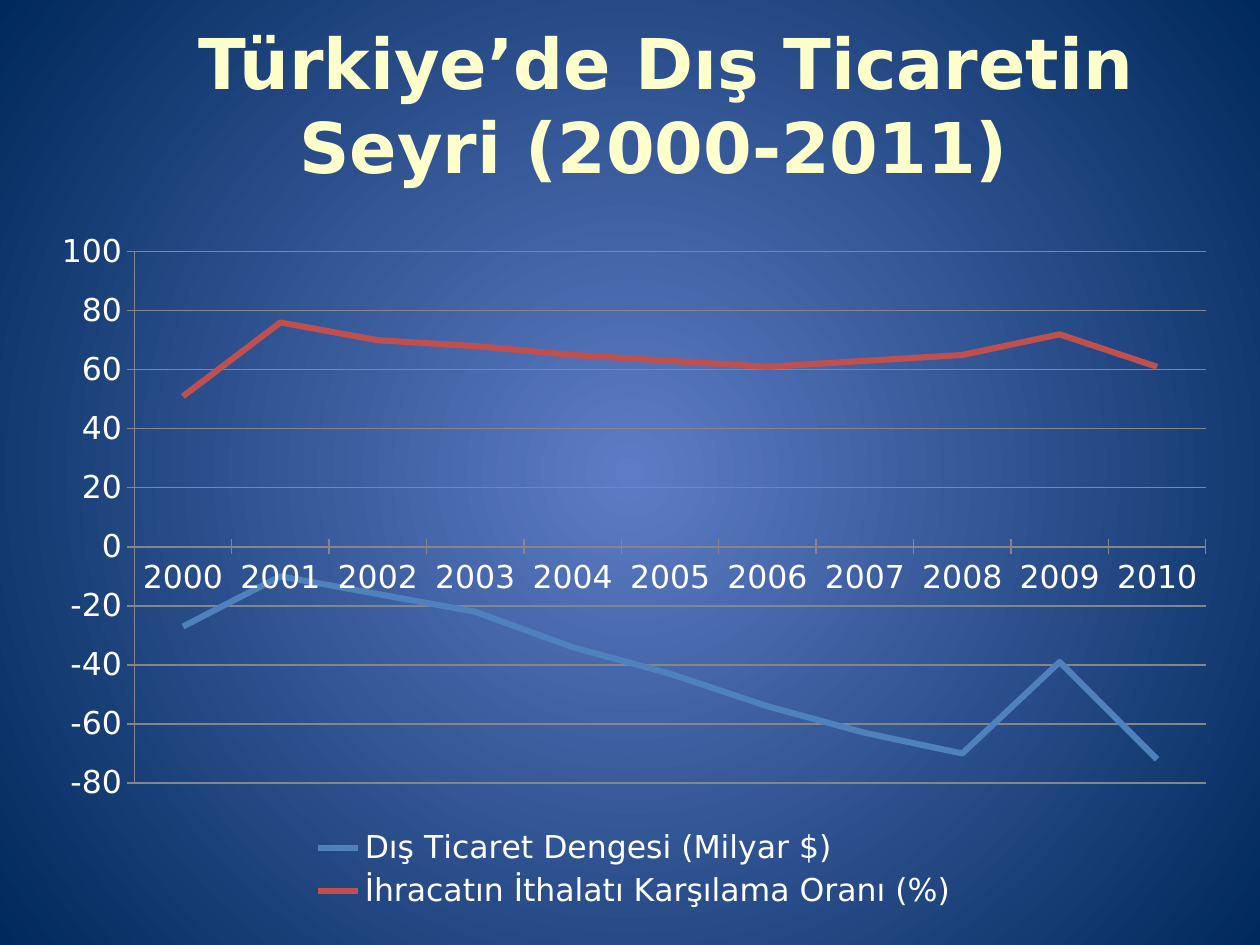
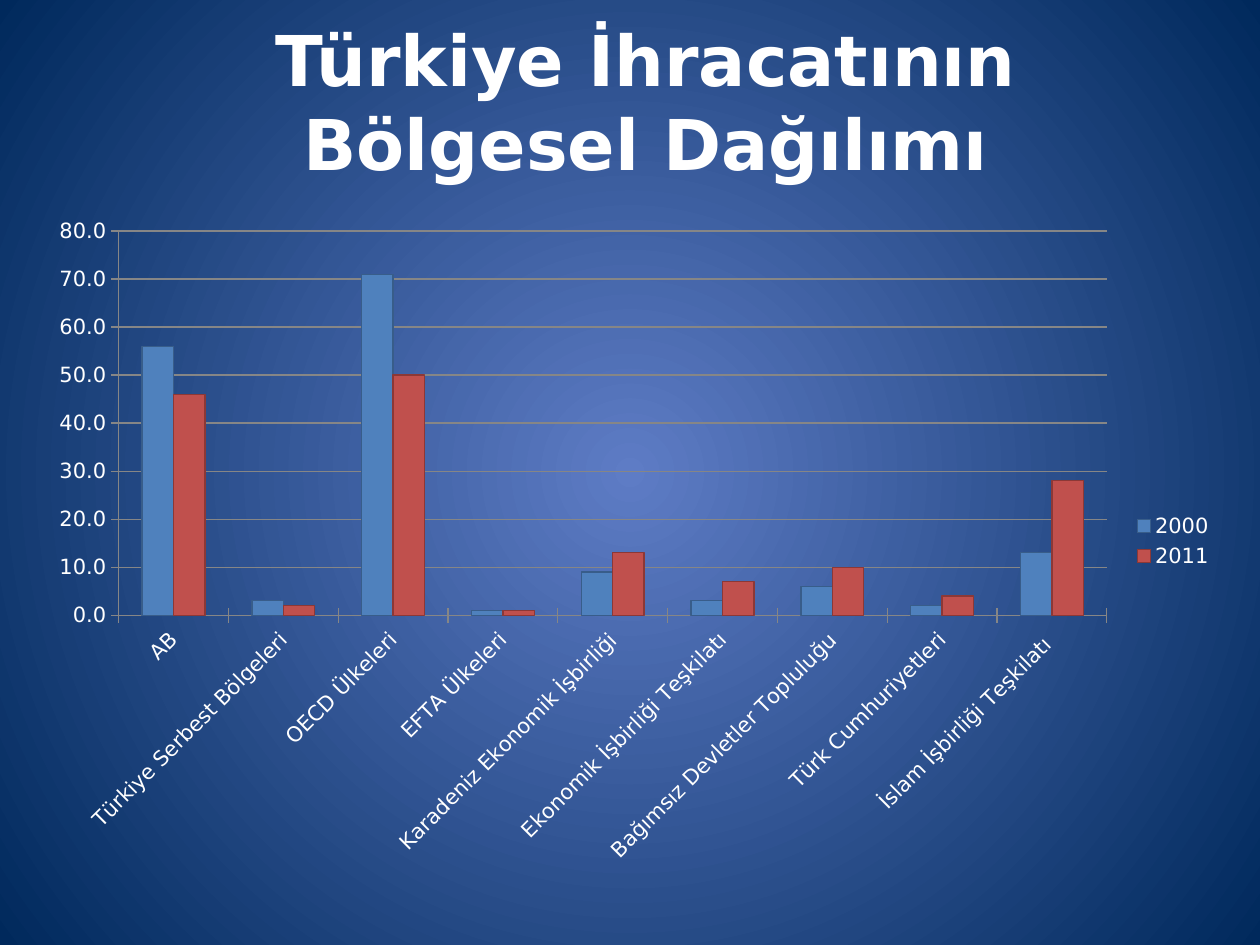
import dataclasses

import pptx
import pptx.chart.data
import pptx.dml.color
import pptx.enum.chart
import pptx.enum.text
import pptx.oxml
import pptx.oxml.ns
import pptx.util

RGB = pptx.dml.color.RGBColor
KIND = pptx.enum.chart.XL_CHART_TYPE
SIDE = pptx.enum.chart.XL_LEGEND_POSITION
Pt = pptx.util.Pt
qn = pptx.oxml.ns.qn

FONT = "DejaVu Sans"
WHITE = RGB(0xFF, 0xFF, 0xFF)
CREAM = RGB(0xFF, 0xFF, 0xCC)
GLOW = RGB(0x5E, 0x7C, 0xC5)
NAVY = RGB(0x00, 0x29, 0x5C)
GREY = RGB(0x86, 0x86, 0x86)
BLUE = RGB(0x4F, 0x81, 0xBD)
RED = RGB(0xC0, 0x50, 0x4D)
FILLS = (BLUE, RED)
EDGES = (RGB(0x38, 0x5D, 0x8A), RGB(0x8C, 0x38, 0x36))

WIDE, HIGH = pptx.util.Inches(10), pptx.util.Inches(7.5)
COL, ROW = WIDE / 10, HIGH / 7.5


@dataclasses.dataclass(frozen=True)
class Box:
    """Left, top, width and height in grid columns and rows."""
    x: float
    y: float
    w: float
    h: float

    def place(self) -> tuple[int, ...]:
        return (int(self.x * COL), int(self.y * ROW),
                int(self.w * COL), int(self.h * ROW))


@dataclasses.dataclass(frozen=True)
class Title:
    text: str
    box: Box
    color: RGB


@dataclasses.dataclass(frozen=True)
class Graph:
    """A chart; plot holds the inner plot area as shares of the chart."""
    kind: KIND
    box: Box
    plot: Box
    size: int
    low: int
    high: int
    step: int
    side: SIDE
    cats: tuple[str, ...]
    series: dict[str, tuple[int, ...]]
    digits: str = "General"
    turn: int = 0


TRADE = Graph(
    KIND.LINE, Box(0.31, 1.72, 9.45, 5.55), Box(0.08, 0.05, 0.9, 0.76),
    18, -80, 100, 20, SIDE.BOTTOM,
    tuple(str(year) for year in range(2000, 2011)),
    {
        "Dış Ticaret Dengesi (Milyar $)":
            (-27, -10, -16, -22, -34, -43, -54, -63, -70, -39, -72),
        "İhracatın İthalatı Karşılama Oranı (%)":
            (51, 76, 70, 68, 65, 63, 61, 63, 65, 72, 61),
    },
)
REGIONS = Graph(
    KIND.COLUMN_CLUSTERED, Box(0.28, 1.62, 9.45, 5.35),
    Box(0.07, 0.04, 0.83, 0.57),
    12, 0, 80, 10, SIDE.RIGHT,
    ("AB", "Türkiye Serbest Bölgeleri", "OECD Ülkeleri", "EFTA Ülkeleri",
     "Karadeniz Ekonomik İşbirliği", "Ekonomik İşbirliği Teşkilatı",
     "Bağımsız Devletler Topluluğu", "Türk Cumhuriyetleri",
     "İslam İşbirliği Teşkilatı "),
    {
        "2000": (56, 3, 71, 1, 9, 3, 6, 2, 13),
        "2011": (46, 2, 50, 1, 13, 7, 10, 4, 28),
    },
    digits="0.0", turn=-45,
)
PAGES = (
    (Title("Türkiye’de Dış Ticaretin Seyri (2000-2011) ",
           Box(1, 0.23, 8.57, 1.18), CREAM), TRADE),
    (Title("Türkiye İhracatının Bölgesel Dağılımı",
           Box(1, 0.36, 8.25, 0.87), WHITE), REGIONS),
)


def paint(slide) -> None:
    """Give the slide its round glow, light at the centre."""
    fill = slide.background.fill
    fill.gradient()
    for stop, color in zip(fill.gradient_stops, (GLOW, NAVY)):
        stop.color.rgb = color
    line = next(slide._element.iter(qn("a:lin")))
    glow = pptx.oxml.parse_xml(
        f'<a:path {pptx.oxml.ns.nsdecls("a")} path="circle">'
        '<a:fillToRect l="50000" t="50000" r="50000" b="50000"/></a:path>')
    line.getparent().replace(line, glow)


def head(slide, title: Title) -> None:
    frame = slide.shapes.add_textbox(*title.box.place()).text_frame
    frame.word_wrap = True
    frame.vertical_anchor = pptx.enum.text.MSO_ANCHOR.MIDDLE
    para = frame.paragraphs[0]
    para.alignment = pptx.enum.text.PP_ALIGN.CENTER
    run = para.add_run()
    run.text = title.text
    run.font.name, run.font.size, run.font.bold = FONT, Pt(40), True
    run.font.color.rgb = title.color


def pen(line, color: RGB, width: float) -> None:
    line.color.rgb = color
    line.width = Pt(width)


def fix_plot(chart, plot: Box) -> None:
    """Pin the inner plot area inside the chart."""
    area = chart._chartSpace.chart.plotArea
    for old in area.findall(qn("c:layout")):
        area.remove(old)
    parts = "".join(
        f'<c:{tag} val="{val}"/>' for tag, val in (
            ("layoutTarget", "inner"), ("xMode", "edge"), ("yMode", "edge"),
            ("x", plot.x), ("y", plot.y), ("w", plot.w), ("h", plot.h)))
    area.insert(0, pptx.oxml.parse_xml(
        f'<c:layout {pptx.oxml.ns.nsdecls("c")}>'
        f'<c:manualLayout>{parts}</c:manualLayout></c:layout>'))


def style_axes(chart, graph: Graph) -> None:
    cat, val = chart.category_axis, chart.value_axis
    for axis in (cat, val):
        axis.major_tick_mark = pptx.enum.chart.XL_TICK_MARK.CROSS
        pen(axis.format.line, GREY, 0.75)
    val.minimum_scale, val.maximum_scale = graph.low, graph.high
    val.major_unit = graph.step
    val.has_major_gridlines = True
    pen(val.major_gridlines.format.line, GREY, 0.75)
    val.tick_labels.number_format = graph.digits
    val.tick_labels.number_format_is_linked = False
    if graph.turn:
        cat.tick_labels.font.size = Pt(graph.size)
        body = next(cat._element.iter(qn("a:bodyPr")))
        body.set("rot", str(graph.turn * 60000))
        body.set("vert", "horz")


def style_series(chart, kind: KIND) -> None:
    plot = chart.plots[0]
    plot.vary_by_categories = False
    if kind == KIND.COLUMN_CLUSTERED:
        plot.gap_width, plot.overlap = 150, 0
    for item, color, edge in zip(plot.series, FILLS, EDGES):
        if kind == KIND.LINE:
            item.smooth = False
            pen(item.format.line, color, 3.5)
        else:
            item.format.fill.solid()
            item.format.fill.fore_color.rgb = color
            pen(item.format.line, edge, 0.75)


def draw(slide, graph: Graph) -> None:
    data = pptx.chart.data.CategoryChartData()
    data.categories = graph.cats
    for name, vals in graph.series.items():
        data.add_series(name, vals)
    chart = slide.shapes.add_chart(
        graph.kind, *graph.box.place(), data).chart
    chart.has_title = False
    chart.font.name, chart.font.size = FONT, Pt(graph.size)
    chart.font.color.rgb = WHITE
    chart.has_legend = True
    chart.legend.position = graph.side
    chart.legend.include_in_layout = False
    style_axes(chart, graph)
    style_series(chart, graph.kind)
    fix_plot(chart, graph.plot)


def main() -> None:
    deck = pptx.Presentation()
    deck.slide_width, deck.slide_height = WIDE, HIGH
    for title, graph in PAGES:
        slide = deck.slides.add_slide(deck.slide_layouts[6])
        paint(slide)
        head(slide, title)
        draw(slide, graph)
    deck.save("out.pptx")


if __name__ == "__main__":
    main()
